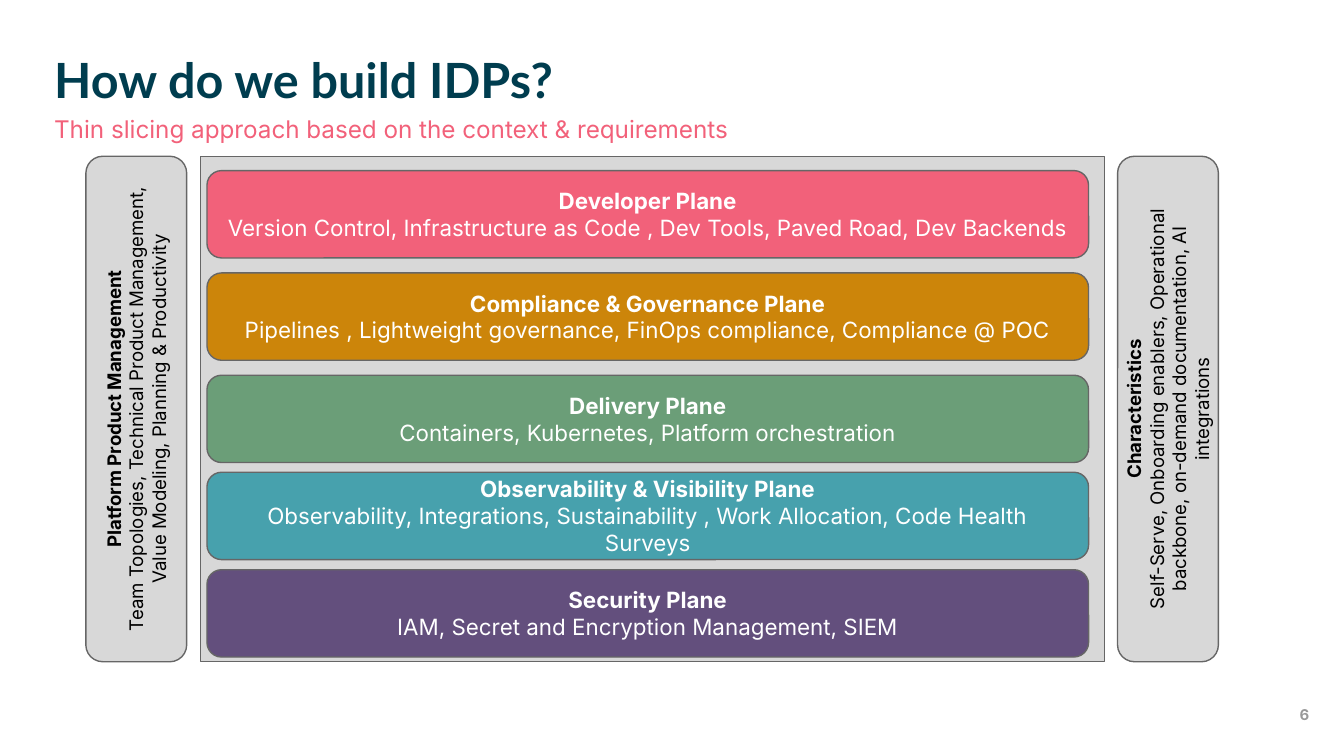
"""Build the slide on the planes of an internal developer platform."""
from dataclasses import dataclass
from typing import Any, NamedTuple

from pptx import Presentation
from pptx.dml import color
from pptx.enum import shapes, text
from pptx import util as u


@dataclass(frozen=True)
class Theme:
    head: str = "Lato"
    body: str = "Inter"
    ink: str = "003D4F"
    pink: str = "F2617A"
    white: str = "FFFFFF"
    black: str = "000000"
    panel: str = "D8D8D8"
    edge: str = "666666"
    faint: str = "999999"
    title: float = 26
    lead: float = 13
    plane: float = 12
    side: float = 10
    page: float = 8
    line: float = 0.75
    inset: float = 7.2


class Box(NamedTuple):
    left: float
    top: float
    width: float
    height: float


class Style(NamedTuple):
    size: float
    tint: str
    bold: bool = False
    font: str = Theme.body


@dataclass(frozen=True)
class Plane:
    name: str
    note: str
    fill: str
    top: float


@dataclass(frozen=True)
class Side:
    name: str
    note: str
    mid: float


THEME = Theme()
KIND = shapes.MSO_SHAPE
ALIGN = text.PP_ALIGN
MIDDLE = text.MSO_ANCHOR.MIDDLE
PANEL = Box(107.3, 83.7, 484.6, 270.8)
BAR = 54

PLANES = [
    Plane("Developer Plane",
          "Version Control, Infrastructure as Code , Dev Tools, Paved Road, Dev Backends",
          THEME.pink, 91.4),
    Plane("Compliance & Governance Plane",
          "Pipelines , Lightweight governance, FinOps compliance, Compliance @ POC",
          "CC850A", 146.2),
    Plane("Delivery Plane", "Containers, Kubernetes, Platform orchestration",
          "6B9E78", 201),
    Plane("Observability & Visibility Plane",
          "Observability, Integrations, Sustainability , Work Allocation, Code Health Surveys",
          "47A1AD", 253),
    Plane("Security Plane", "IAM, Secret and Encryption Management, SIEM",
          "634F7D", 305.2),
]
SIDES = [
    Side("Platform Product Management",
         "Team Topologies, Technical Product Management, Value Modeling, Planning & Productivity",
         73),
    Side("Characteristics",
         "Self-Serve, Onboarding enablers, Operational backbone, on-demand documentation, "
         "AI integrations", 625.7),
]


def place(box: Box) -> list[u.Length]:
    """Turn a box into lengths."""
    return [u.Pt(side) for side in box]


def paint(tint: str) -> color.RGBColor:
    """Turn a hex string into a colour."""
    return color.RGBColor.from_string(tint)


def set_frame(frame: Any, inset: float, anchor: Any) -> None:
    """Set wrap, anchor and insets of a text frame."""
    frame.word_wrap = True
    frame.vertical_anchor = anchor
    frame.margin_left = frame.margin_right = u.Pt(inset)
    frame.margin_top = frame.margin_bottom = u.Pt(inset)


def add_run(para: Any, words: str, style: Style) -> None:
    """Add one styled run to a paragraph."""
    run = para.add_run()
    run.text = words
    run.font.name = style.font
    run.font.size = u.Pt(style.size)
    run.font.bold = style.bold
    run.font.color.rgb = paint(style.tint)


def add_label(slide: Any, box: Box, words: str, style: Style,
              align: Any = ALIGN.LEFT, anchor: Any = MIDDLE) -> Any:
    """Add a one-line text box and return its paragraph."""
    frame = slide.shapes.add_textbox(*place(box)).text_frame
    set_frame(frame, 0, anchor)
    para = frame.paragraphs[0]
    para.alignment = align
    add_run(para, words, style)
    return para


def add_block(slide: Any, kind: Any, box: Box, fill: str) -> Any:
    """Add a filled and outlined shape."""
    block = slide.shapes.add_shape(kind, *place(box))
    block.shadow.inherit = False
    block.fill.solid()
    block.fill.fore_color.rgb = paint(fill)
    block.line.color.rgb = paint(THEME.edge)
    block.line.width = u.Pt(THEME.line)
    return block


def add_card(slide: Any, box: Box, fill: str, name: str, note: str,
             size: float, tint: str) -> Any:
    """Add a round card with a bold name above a plain note."""
    card = add_block(slide, KIND.ROUNDED_RECTANGLE, box, fill)
    frame = card.text_frame
    set_frame(frame, THEME.inset, MIDDLE)
    for para, words, bold in ((frame.paragraphs[0], name, True),
                              (frame.add_paragraph(), note, False)):
        para.alignment = ALIGN.CENTER
        add_run(para, words, Style(size, tint, bold))
    return card


def add_plane(slide: Any, plane: Plane) -> None:
    """Add one plane of the stack."""
    add_card(slide, Box(110.9, plane.top, 472.3, 46.8), plane.fill,
             plane.name, plane.note, THEME.plane, THEME.white)


def add_side(slide: Any, side: Side) -> None:
    """Add an upright bar beside the panel, as tall as the panel."""
    span = PANEL.height
    top = PANEL.top + (span - BAR) / 2
    card = add_card(slide, Box(side.mid - span / 2, top, span, BAR), THEME.panel,
                    side.name, side.note, THEME.side, THEME.black)
    card.rotation = 270


def main() -> None:
    """Build and save the deck."""
    deck = Presentation()
    deck.slide_width, deck.slide_height = u.Pt(720), u.Pt(405)
    slide = deck.slides.add_slide(deck.slide_layouts[6])
    add_label(slide, Box(691.2, 375.8, 15.1, 14.4), "6",
              Style(THEME.page, THEME.faint, True), ALIGN.CENTER)
    add_block(slide, KIND.RECTANGLE, PANEL, THEME.panel)
    add_label(slide, Box(29, 17.3, 661.7, 49.7), "How do we build IDPs?",
              Style(THEME.title, THEME.ink, True, THEME.head))
    lead = add_label(slide, Box(29, 59, 661.7, 33.8),
                     "Thin slicing approach based on the context & requirements",
                     Style(THEME.lead, THEME.pink), anchor=text.MSO_ANCHOR.TOP)
    lead.line_spacing = 1.15
    lead.space_after = u.Pt(12)
    for plane in PLANES:
        add_plane(slide, plane)
    for side in SIDES:
        add_side(slide, side)
    deck.save("out.pptx")


if __name__ == "__main__":
    main()
